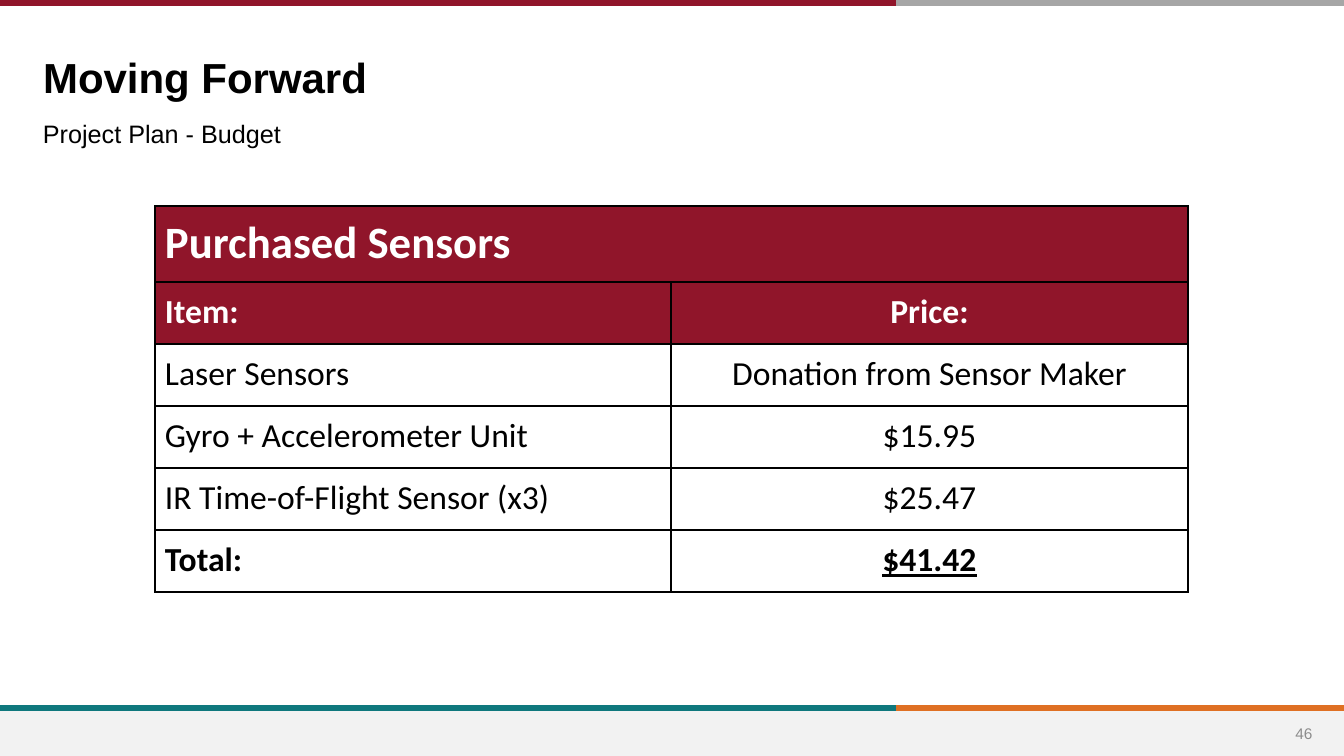
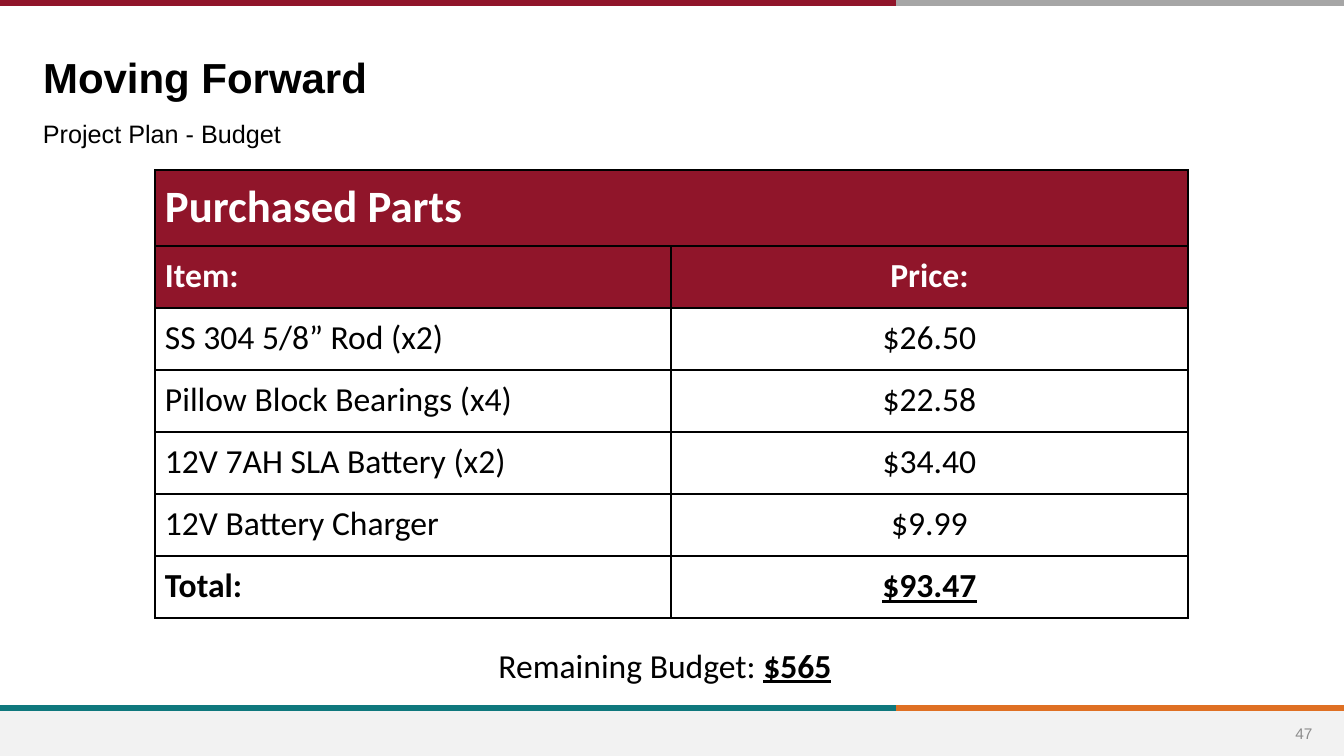
from dataclasses import dataclass
from typing import Optional

import pptx
import pptx.dml.color
import pptx.enum.shapes
import pptx.enum.text
import pptx.oxml
import pptx.oxml.ns
import pptx.presentation
import pptx.slide
import pptx.table
import pptx.text.text
import pptx.util
from pptx.dml.color import RGBColor
from pptx.enum.text import MSO_ANCHOR, PP_ALIGN

SLIDE_W, SLIDE_H = 1344, 756
EMU_PER_PX = 12192000 / SLIDE_W
SPLIT_X = 896
FOOTER_Y = 711

MAROON = RGBColor(0x90, 0x15, 0x2A)
GRAY = RGBColor(0xA6, 0xA6, 0xA6)
TEAL = RGBColor(0x0F, 0x78, 0x7D)
ORANGE = RGBColor(0xDF, 0x70, 0x23)
FOOTER_FILL = RGBColor(0xF2, 0xF2, 0xF2)
NUMBER_GRAY = RGBColor(0x8C, 0x8C, 0x8C)
BLACK = RGBColor(0, 0, 0)
WHITE = RGBColor(0xFF, 0xFF, 0xFF)

HEADING_FONT, BODY_FONT = "Arial", "Calibri"
TABLE_X = 155
COLUMN_WIDTHS = (516, 517)
CAPTION_H, ROW_H = 76, 62
CELL_MARGIN = 10


@dataclass(frozen=True)
class Box:
    x: int
    y: int
    w: int
    h: int

    def emu(self) -> tuple[int, ...]:
        return tuple(px(n) for n in (self.x, self.y, self.w, self.h))


@dataclass(frozen=True)
class Stripe:
    start: int
    end: int
    y: int
    color: RGBColor


@dataclass(frozen=True)
class Budget:
    number: int
    table_y: int
    caption: str
    items: tuple[tuple[str, str], ...]
    total: str
    remaining: Optional[str] = None


STRIPES = (
    Stripe(SPLIT_X, SLIDE_W, 3, GRAY),
    Stripe(0, SPLIT_X, 3, MAROON),
    Stripe(SPLIT_X, SLIDE_W, 708, ORANGE),
    Stripe(0, SPLIT_X, 708, TEAL),
)

BUDGETS = (
    Budget(46, 206, "Purchased Sensors", (
        ("Laser Sensors", "Donation from Sensor Maker"),
        ("Gyro + Accelerometer Unit", "$15.95"),
        ("IR Time-of-Flight Sensor (x3)", "$25.47"),
    ), "$41.42"),
    Budget(47, 170, "Purchased Parts", (
        ("SS 304 5/8” Rod (x2)", "$26.50"),
        ("Pillow Block Bearings (x4)", "$22.58"),
        ("12V 7AH SLA Battery (x2)", "$34.40"),
        ("12V Battery Charger", "$9.99"),
    ), "$93.47", "$565"),
)


def px(length: int) -> pptx.util.Emu:
    return pptx.util.Emu(round(length * EMU_PER_PX))


def style_font(font: pptx.text.text.Font, name: str, size: int, color: RGBColor,
               bold: bool = False, underline: bool = False) -> None:
    font.name = name
    font.size = pptx.util.Pt(size)
    font.color.rgb = color
    font.bold = bold
    font.underline = underline


def add_text(slide: pptx.slide.Slide, box: Box, text: str, name: str, size: int,
             color: RGBColor, align: PP_ALIGN) -> pptx.text.text._Paragraph:
    frame = slide.shapes.add_textbox(*box.emu()).text_frame
    frame.word_wrap = True
    frame.vertical_anchor = MSO_ANCHOR.MIDDLE
    paragraph = frame.paragraphs[0]
    paragraph.text = text
    paragraph.alignment = align
    style_font(paragraph.runs[0].font, name, size, color)
    return paragraph


def add_stripe(slide: pptx.slide.Slide, stripe: Stripe) -> None:
    line = slide.shapes.add_connector(
        pptx.enum.shapes.MSO_CONNECTOR.STRAIGHT,
        px(stripe.start), px(stripe.y), px(stripe.end), px(stripe.y))
    line.line.color.rgb = stripe.color
    line.line.width = pptx.util.Pt(4)
    line._element.spPr.append(pptx.oxml.parse_xml(
        f"<a:effectLst {pptx.oxml.ns.nsdecls('a')}/>"))


def add_frame(slide: pptx.slide.Slide, number: int) -> None:
    """Draw the bands, heading and page number that every slide carries."""
    footer = slide.shapes.add_shape(
        pptx.enum.shapes.MSO_SHAPE.RECTANGLE,
        *Box(0, FOOTER_Y, SLIDE_W, SLIDE_H - FOOTER_Y).emu())
    footer.shadow.inherit = False
    footer.fill.solid()
    footer.fill.fore_color.rgb = FOOTER_FILL
    footer.line.fill.background()
    for stripe in STRIPES:
        add_stripe(slide, stripe)

    title = slide.shapes.title
    title.left, title.top, title.width, title.height = Box(33, 46, 1074, 61).emu()
    frame = title.text_frame
    frame.text = "Moving Forward"
    frame.auto_size = pptx.enum.text.MSO_AUTO_SIZE.NONE
    frame.vertical_anchor = MSO_ANCHOR.BOTTOM
    frame.paragraphs[0].alignment = PP_ALIGN.LEFT
    style_font(frame.paragraphs[0].runs[0].font, HEADING_FONT, 30, BLACK, bold=True)

    add_text(slide, Box(33, 111, 1076, 45), "Project Plan - Budget",
             HEADING_FONT, 18, BLACK, PP_ALIGN.LEFT)
    add_text(slide, Box(1278, 713, 52, 40), str(number),
             HEADING_FONT, 11, NUMBER_GRAY, PP_ALIGN.CENTER)


def add_borders(cell: pptx.table._Cell) -> None:
    properties = cell._tc.get_or_add_tcPr()
    for position, side in enumerate(("lnL", "lnR", "lnT", "lnB")):
        properties.insert(position, pptx.oxml.parse_xml(
            f"<a:{side} {pptx.oxml.ns.nsdecls('a')} w='{pptx.util.Pt(1)}'>"
            f"<a:solidFill><a:srgbClr val='{BLACK}'/></a:solidFill></a:{side}>"))


def add_budget_table(slide: pptx.slide.Slide, budget: Budget) -> None:
    rows = ((budget.caption, ""), ("Item:", "Price:"), *budget.items,
            ("Total:", budget.total))
    last = len(rows) - 1
    box = Box(TABLE_X, budget.table_y, sum(COLUMN_WIDTHS), CAPTION_H + last * ROW_H)
    table = slide.shapes.add_table(len(rows), len(COLUMN_WIDTHS), *box.emu()).table
    table.first_row = table.horz_banding = False
    for column, width in zip(table.columns, COLUMN_WIDTHS):
        column.width = px(width)
    table.cell(0, 0).merge(table.cell(0, 1))

    for r, texts in enumerate(rows):
        table.rows[r].height = px(ROW_H if r else CAPTION_H)
        is_header = r < 2
        for c, text in enumerate(texts):
            cell = table.cell(r, c)
            cell.fill.solid()
            cell.fill.fore_color.rgb = MAROON if is_header else WHITE
            cell.margin_left = cell.margin_right = px(CELL_MARGIN)
            cell.margin_top = cell.margin_bottom = px(CELL_MARGIN)
            add_borders(cell)
            if not text:
                continue
            paragraph = cell.text_frame.paragraphs[0]
            paragraph.text = text
            paragraph.alignment = PP_ALIGN.CENTER if c else PP_ALIGN.LEFT
            style_font(paragraph.runs[0].font, BODY_FONT, 24 if r else 32,
                       WHITE if is_header else BLACK,
                       bold=is_header or r == last, underline=r == last and c == 1)


def add_remaining(slide: pptx.slide.Slide, amount: str) -> None:
    paragraph = add_text(slide, Box(475, 640, 380, 50), "Remaining Budget: ",
                         BODY_FONT, 24, BLACK, PP_ALIGN.CENTER)
    amount_run = paragraph.add_run()
    amount_run.text = amount
    style_font(amount_run.font, BODY_FONT, 24, BLACK, bold=True, underline=True)


def add_budget_slide(deck: pptx.presentation.Presentation, budget: Budget) -> None:
    slide = deck.slides.add_slide(deck.slide_layouts.get_by_name("Title Only"))
    add_frame(slide, budget.number)
    add_budget_table(slide, budget)
    if budget.remaining:
        add_remaining(slide, budget.remaining)


def main() -> None:
    deck = pptx.Presentation()
    deck.slide_width, deck.slide_height = px(SLIDE_W), px(SLIDE_H)
    for budget in BUDGETS:
        add_budget_slide(deck, budget)
    deck.save("out.pptx")


if __name__ == "__main__":
    main()
